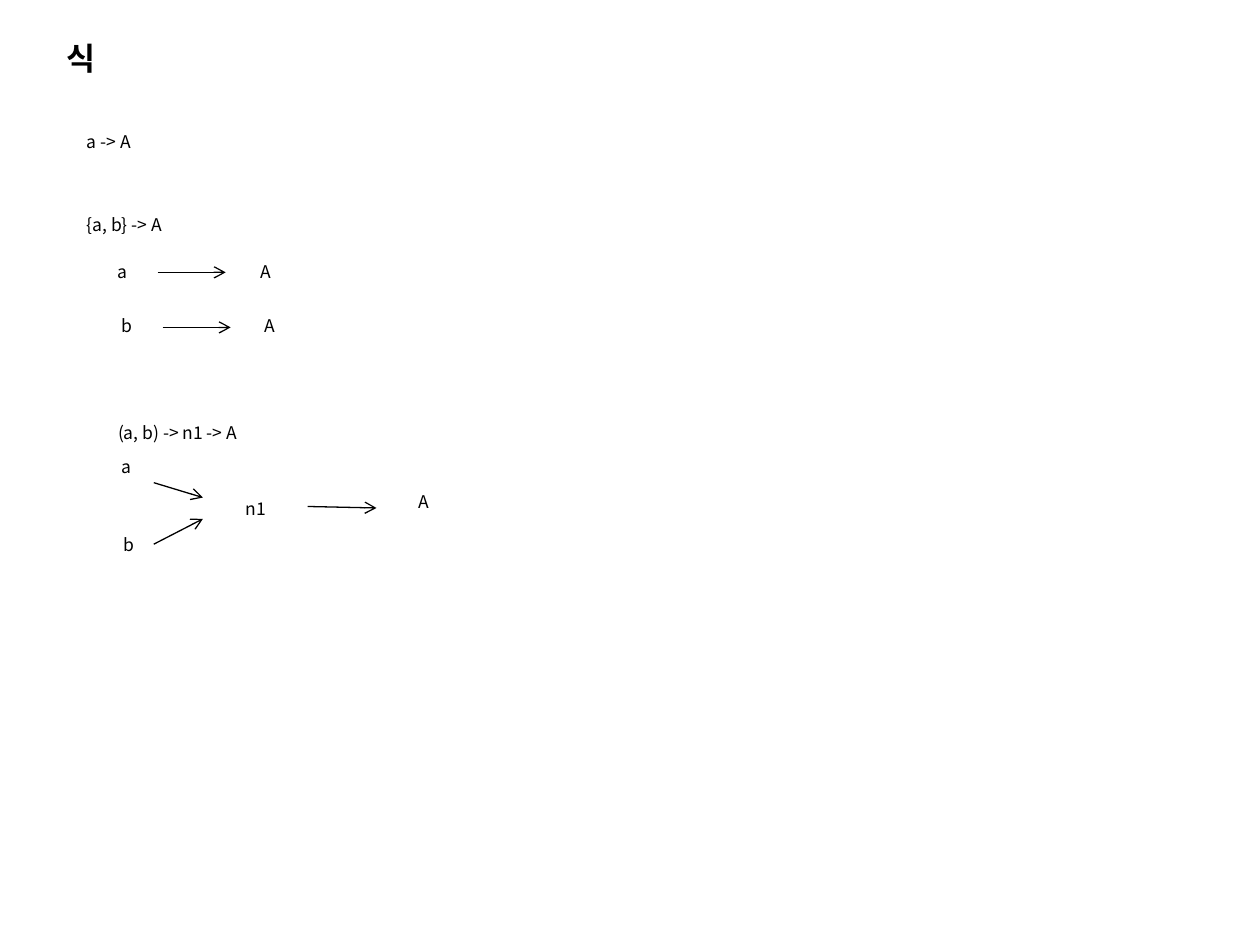
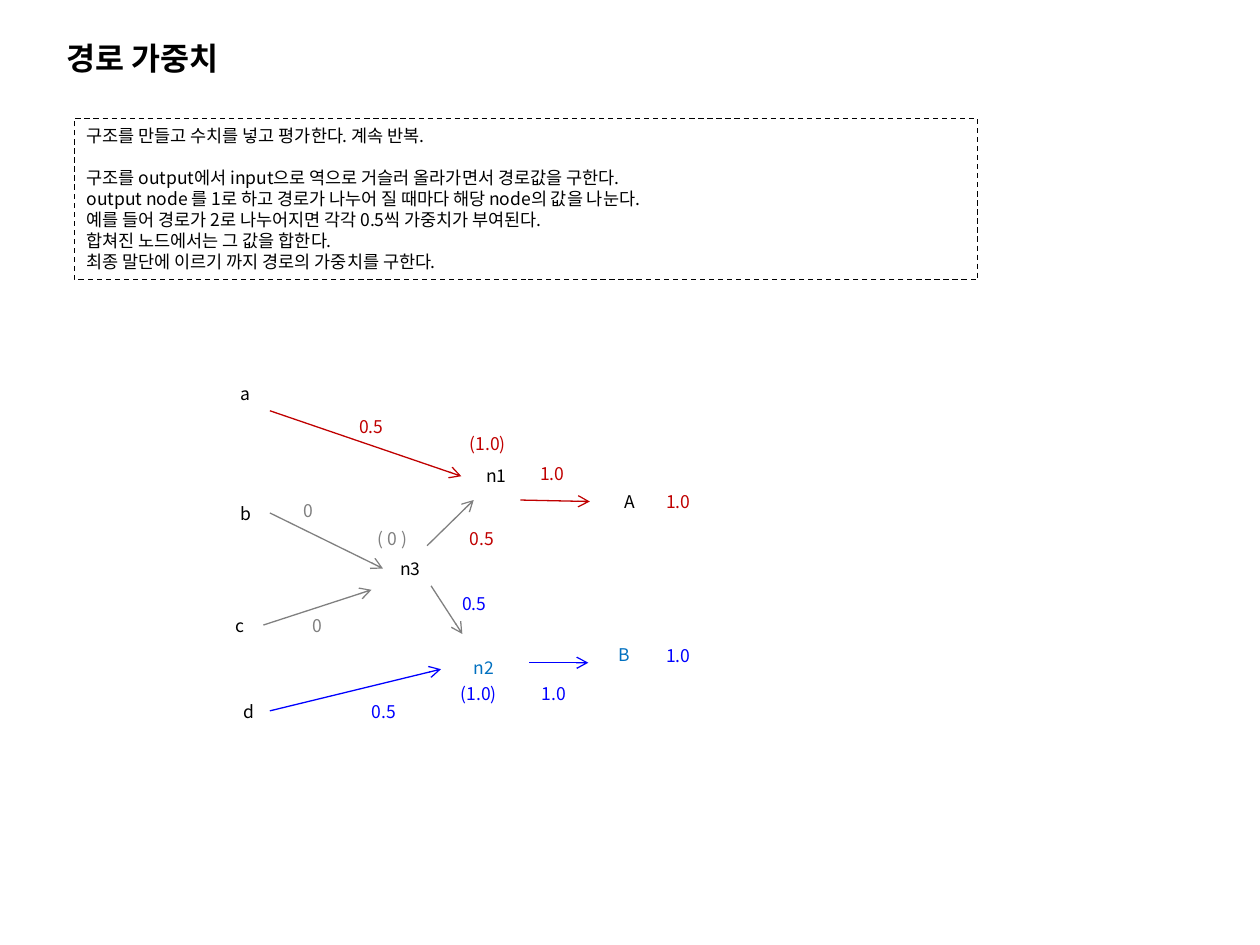
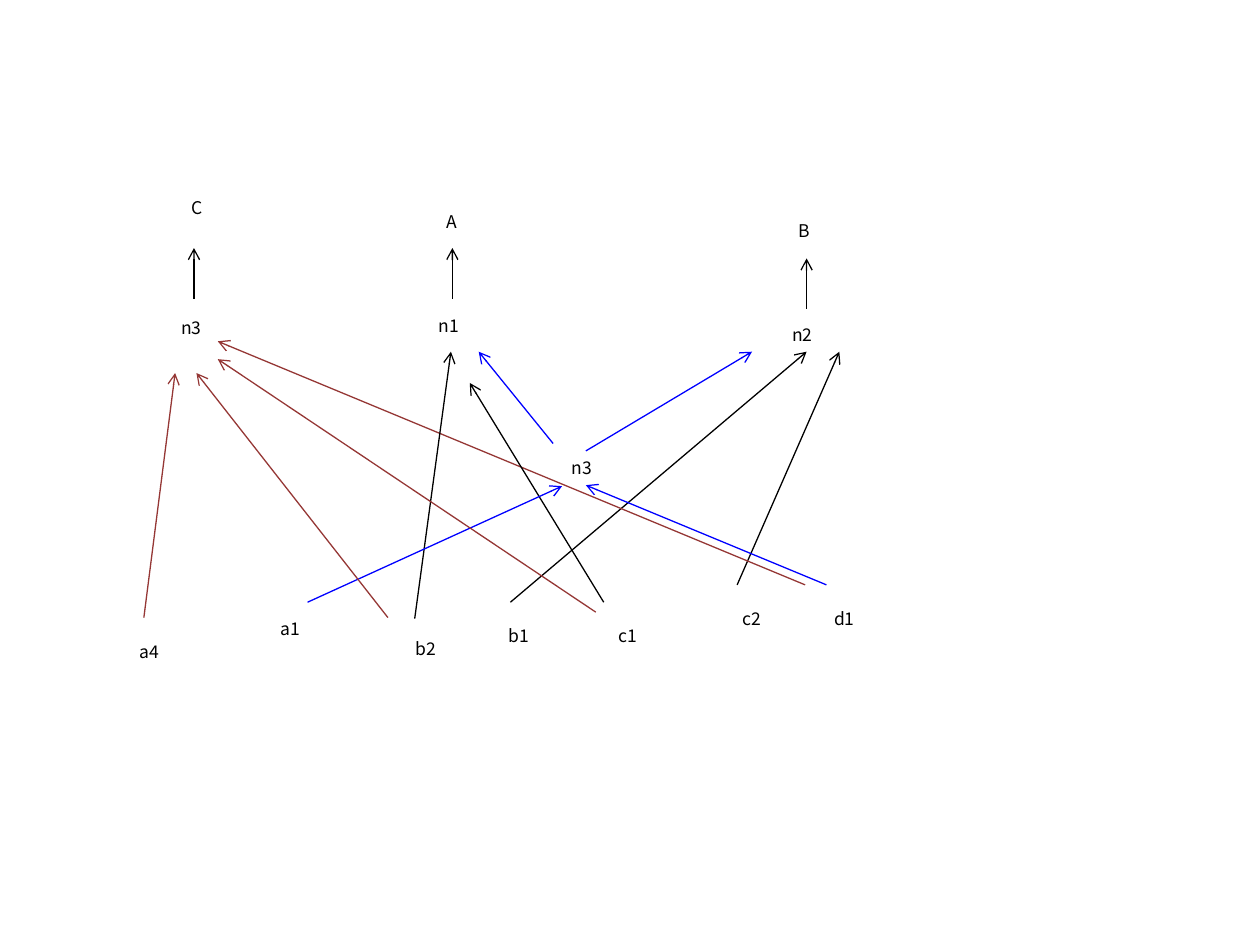
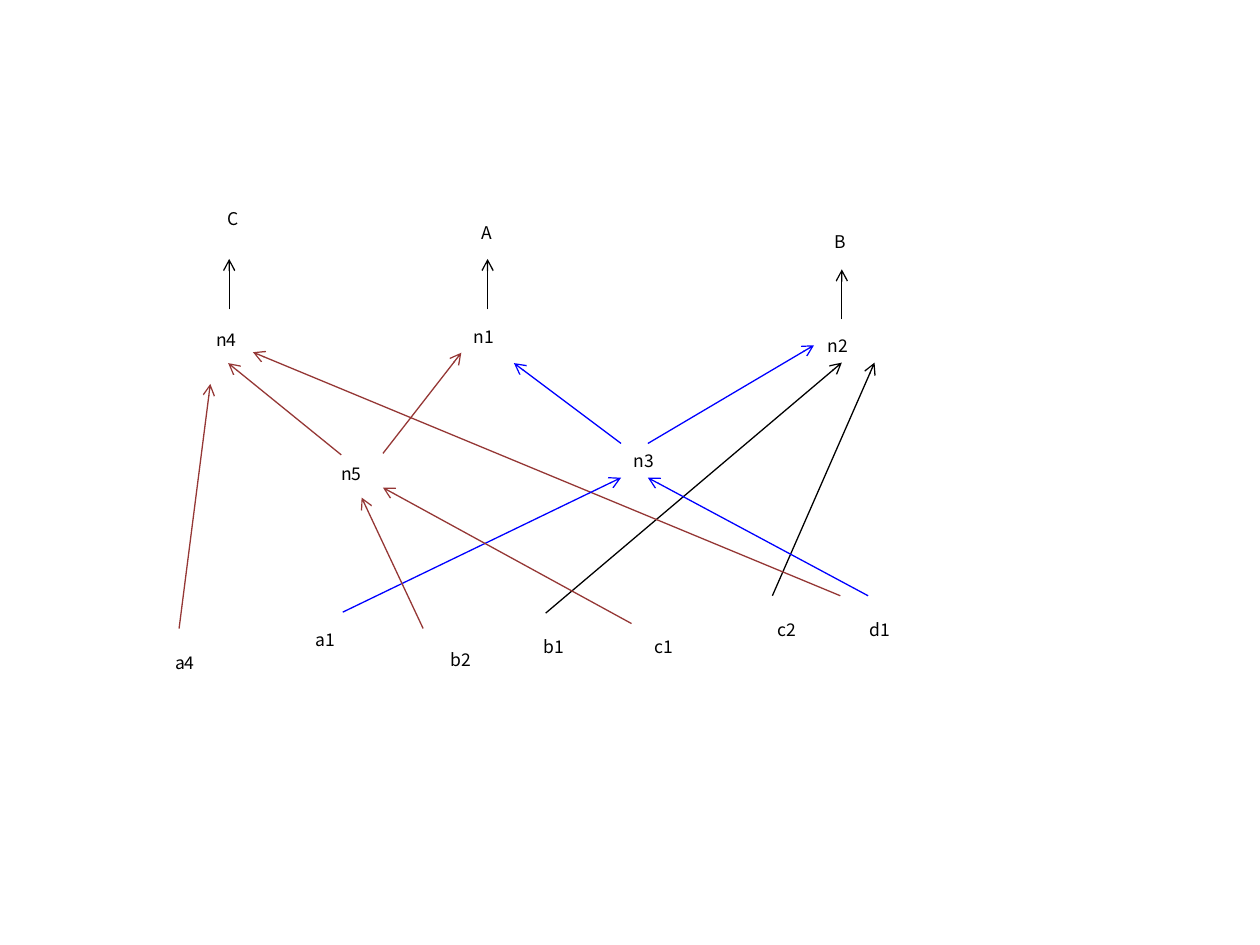
from dataclasses import dataclass

from lxml import etree
from pptx import Presentation
from pptx.dml.color import RGBColor
from pptx.enum import dml, shapes, text
from pptx.oxml.ns import qn
from pptx.util import Cm, Pt


@dataclass(frozen=True)
class Theme:
    font: str = "Noto Sans CJK KR"
    head: int = 18
    body: int = 10
    lead: float = 1.2
    line: float = 0.75
    black: str = "000000"
    red: str = "C00000"
    gray: str = "808080"
    blue: str = "0000FF"
    azure: str = "0070C0"
    brown: str = "953735"


T = Theme()
LEFT, MID = text.PP_ALIGN.LEFT, text.PP_ALIGN.CENTER
HIGH = 0.69  # height of a one-line label


def write(frame, lines, size=T.body, color=T.black, align=LEFT, bold=False):
    """Fill a text frame, one paragraph per line, in the shared type style."""
    frame.word_wrap = True
    frame.vertical_anchor = text.MSO_ANCHOR.TOP
    frame.text = "\n".join(lines)
    for para in frame.paragraphs:
        para.alignment = align
        para.line_spacing = Pt(size * T.lead)
        para.space_before = Pt(0)
        font = para.font
        font.size, font.bold, font.name = Pt(size), bold, T.font
        font.color.rgb = RGBColor.from_string(color)
        props = para._p.pPr.find(qn("a:defRPr"))
        etree.SubElement(props, qn("a:ea")).set("typeface", T.font)


# Labels: (width, align, colour, [(text, left, top), ...])
# Arrows: (colour, [(from x, from y, to x, to y), ...])
form_labels = [
    (4.39, LEFT, T.black, [("a -> A", 1.5, 2.51)]),
    (6.68, LEFT, T.black, [("{a, b} -> A", 1.5, 4.19)]),
    (5.46, LEFT, T.black, [("(a, b) -> n1 -> A", 2.13, 8.38)]),
    (0.79, LEFT, T.black, [("a", 2.11, 5.13), ("b", 2.21, 6.22),
                           ("a", 2.21, 9.07), ("b", 2.24, 10.64)]),
    (1.5, LEFT, T.black, [("A", 5, 5.13), ("A", 5.08, 6.22),
                          ("n1", 4.7, 9.91), ("A", 8.18, 9.78)]),
]
form_arrows = [
    (T.black, [(3.18, 5.49, 4.55, 5.49), (3.28, 6.6, 4.65, 6.6),
               (3.1, 9.73, 4.09, 10.03), (3.1, 10.97, 4.09, 10.46),
               (6.2, 10.21, 7.59, 10.24)]),
]

path_labels = [
    (0.79, LEFT, T.black, [("a", 4.6, 7.59), ("b", 4.6, 10.01),
                           ("c", 4.5, 12.27), ("d", 4.65, 14)]),
    (1.07, LEFT, T.black, [("n1", 9.55, 9.25), ("n3", 7.82, 11.13)]),
    (1.07, LEFT, T.azure, [("n2", 9.3, 13.13), ("B", 12.22, 12.85)]),
    (1.5, LEFT, T.black, [("A", 12.34, 9.78)]),
    (1.45, LEFT, T.red, [("1.0", 10.64, 9.22), ("1.0", 13.18, 9.78),
                         ("0.5", 6.99, 8.26), ("0.5", 9.22, 10.52),
                         ("(1.0)", 9.22, 8.61)]),
    (1.45, LEFT, T.blue, [("1.0", 13.18, 12.88), ("1.0", 10.67, 13.64),
                          ("0.5", 9.07, 11.84), ("0.5", 7.24, 14),
                          ("(1.0)", 9.04, 13.64)]),
    (1.14, LEFT, T.gray, [("0", 5.87, 9.96), ("0", 6.05, 12.27)]),
    (1.45, LEFT, T.gray, [("( 0 )", 7.37, 10.52)]),
]
path_arrows = [
    (T.red, [(5.44, 8.28, 9.3, 9.6), (10.49, 10.08, 11.89, 10.11)]),
    (T.gray, [(5.44, 10.34, 7.72, 11.46), (5.31, 12.6, 7.49, 11.89),
              (8.61, 11, 9.55, 10.08), (8.69, 11.81, 9.32, 12.78)]),
    (T.blue, [(5.44, 14.33, 8.89, 13.49), (10.67, 13.36, 11.86, 13.36)]),
]

# The last two slides show one graph, the second time moved by SHIFT.
SHIFT = (0.71, 0.22)
net_labels = [
    (1.45, MID, T.black, [("a1", 5.13, 12.34), ("c1", 11.94, 12.47),
                          ("c2", 14.43, 12.14), ("a4", 2.29, 12.8)]),
    (1.52, MID, T.black, [("b2", 7.82, 12.73), ("d1", 16.26, 12.14),
                          ("b1", 9.7, 12.47)]),
    (1.5, MID, T.black, [("A", 8.36, 4.14), ("B", 15.47, 4.32),
                         ("C", 3.23, 3.84)]),
    (1.07, LEFT, T.black, [("n1", 8.59, 6.22), ("n2", 15.72, 6.4)]),
]
net_arrows = [
    (T.black, [(9.12, 6.02, 9.12, 5), (16.26, 6.22, 16.26, 5.21),
               (3.91, 6.02, 3.91, 5), (10.29, 12.14, 16.26, 7.09),
               (14.86, 11.79, 16.92, 7.09)]),
    (T.brown, [(2.9, 12.45, 3.53, 7.52), (16.23, 11.79, 4.39, 6.88)]),
]
apart_labels = [
    (1.07, LEFT, T.black, [("n3", 3.4, 6.27), ("n3", 11.28, 9.09)]),
]
apart_arrows = [
    (T.black, [(8.36, 12.47, 9.09, 7.09), (12.17, 12.14, 9.47, 7.72)]),
    (T.blue, [(6.2, 12.14, 11.33, 9.8), (16.66, 11.79, 11.81, 9.78),
              (11.81, 9.09, 15.16, 7.09), (11.15, 8.94, 9.65, 7.09)]),
    (T.brown, [(7.82, 12.45, 3.96, 7.52), (12.01, 12.34, 4.39, 7.24)]),
]
joint_labels = [
    (1.07, LEFT, T.black, [("n4", 4.11, 6.5), ("n3", 12.52, 8.94),
                           ("n5", 6.63, 9.22)]),
]
joint_arrows = [
    (T.blue, [(6.91, 12.34, 12.52, 9.63), (17.5, 12.01, 13.06, 9.63),
              (13.06, 8.94, 16.41, 6.96), (12.52, 8.94, 10.36, 7.32)]),
    (T.brown, [(8.53, 12.67, 7.29, 10.03), (12.73, 12.57, 7.72, 9.83),
               (6.88, 9.17, 4.6, 7.32), (7.72, 9.14, 9.3, 7.11)]),
]

# Each page: title, then layers of (shift, labels, arrows)
pages = [
    ("식", [((0, 0), form_labels, form_arrows)]),
    ("경로 가중치", [((0, 0), path_labels, path_arrows)]),
    (None, [((0, 0), net_labels, net_arrows),
            ((0, 0), apart_labels, apart_arrows)]),
    (None, [(SHIFT, net_labels, net_arrows),
            ((0, 0), joint_labels, joint_arrows)]),
]

deck = Presentation()
deck.slide_width, deck.slide_height = Cm(25.4), Cm(19.05)
titled, blank = deck.slide_layouts[5], deck.slide_layouts[6]

for title, layers in pages:
    slide = deck.slides.add_slide(titled if title else blank)
    if title:
        head = slide.shapes.title
        head.left, head.top = Cm(1.09), Cm(0.66)
        head.width, head.height = Cm(7.8), Cm(1.02)
        write(head.text_frame, [title], T.head, bold=True)

    for (dx, dy), labels, arrows in layers:
        for width, align, color, items in labels:
            for word, x, y in items:
                box = slide.shapes.add_textbox(
                    Cm(x + dx), Cm(y + dy), Cm(width), Cm(HIGH))
                write(box.text_frame, [word], color=color, align=align)
        for color, lines in arrows:
            for x1, y1, x2, y2 in lines:
                arrow = slide.shapes.add_connector(
                    shapes.MSO_CONNECTOR.STRAIGHT, Cm(x1 + dx), Cm(y1 + dy),
                    Cm(x2 + dx), Cm(y2 + dy))
                arrow.line.color.rgb = RGBColor.from_string(color)
                arrow.line.width = Pt(T.line)
                props = arrow._element.spPr
                tail = etree.SubElement(props.find(qn("a:ln")), qn("a:tailEnd"))
                tail.set("type", "arrow")
                etree.SubElement(props, qn("a:effectLst"))

# Dashed note on the path weight slide
note = deck.slides[1].shapes.add_shape(
    shapes.MSO_SHAPE.RECTANGLE, Cm(1.5), Cm(2.39), Cm(18.21), Cm(3.25))
note.shadow.inherit = False
note.fill.background()
note.line.color.rgb = RGBColor.from_string(T.black)
note.line.width = Pt(T.line)
note.line.dash_style = dml.MSO_LINE.DASH
write(note.text_frame, [
    "구조를 만들고 수치를 넣고 평가한다. 계속 반복.",
    "구조를 output에서 input으로 역으로 거슬러 올라가면서 경로값을 구한다.",
    "output node 를 1로 하고 경로가 나누어 질 때마다 해당 node의 값을 나눈다.",
    "예를 들어 경로가 2로 나누어지면 각각 0.5씩 가중치가 부여된다.",
    "합쳐진 노드에서는 그 값을 합한다.",
    "최종 말단에 이르기 까지 경로의 가중치를 구한다.",
])
note.text_frame.paragraphs[1].space_before = Pt(T.body * T.lead)

deck.save("out.pptx")
